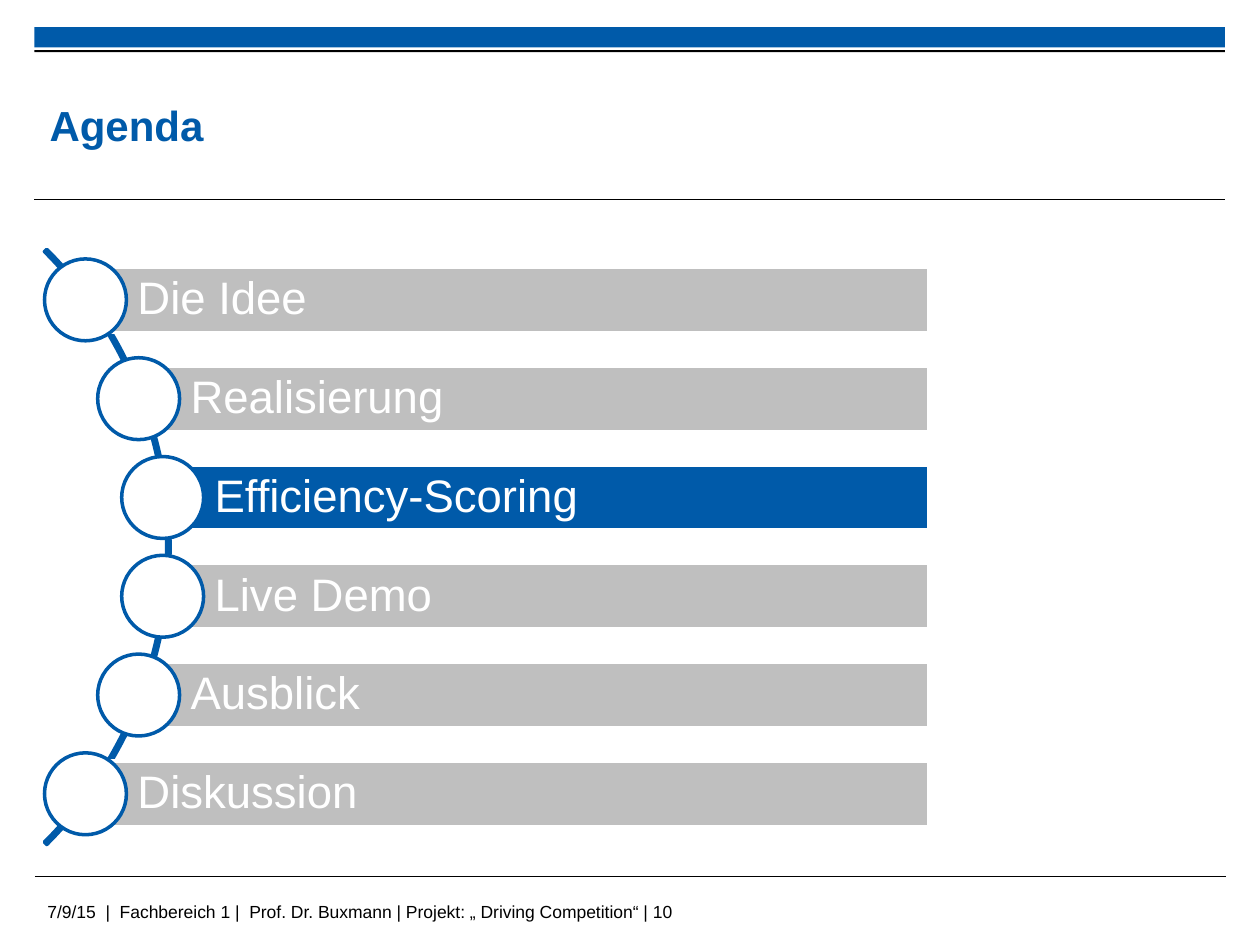
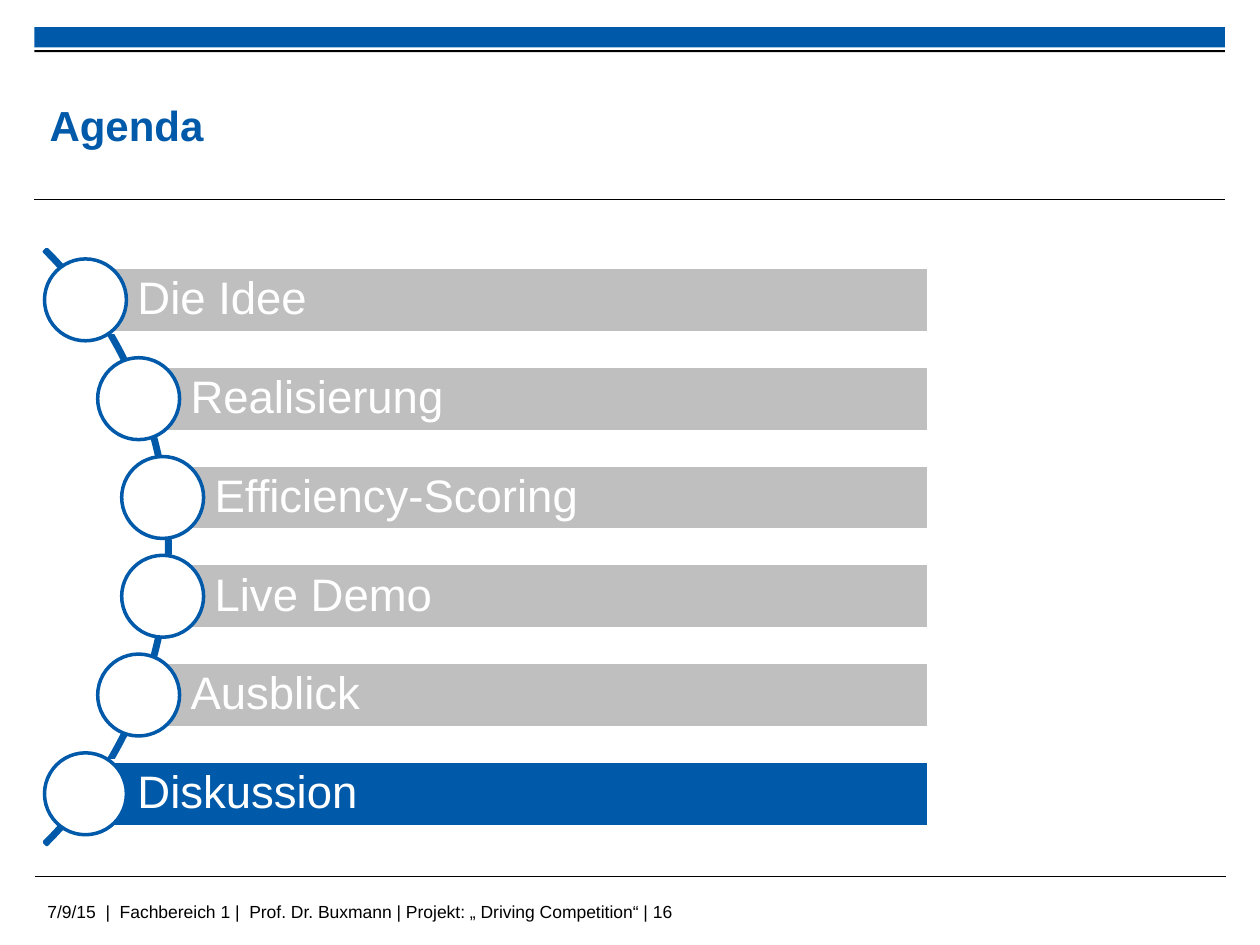
"""Build two agenda slides, each highlighting its current topic."""
from math import sqrt

from lxml import etree
from pptx import Presentation
from pptx.dml.color import RGBColor
from pptx.enum.shapes import MSO_CONNECTOR as Connector, MSO_SHAPE as Shape
from pptx.enum.text import MSO_ANCHOR as Anchor, PP_ALIGN as Align
from pptx.oxml.ns import qn
from pptx.util import Pt

COLORS = {"blue": "005AA9", "gray": "BFBFBF", "white": "FFFFFF", "black": "000000"}
FONT = "Arial"
TOPICS = ["Die Idee", "Realisierung", "Efficiency-Scoring", "Live Demo", "Ausblick", "Diskussion"]
FOOTER = "7/9/15  |  Fachbereich 1 |  Prof. Dr. Buxmann | Projekt: „ Driving Competition“ | {}"
AGENDAS = [(10, "Efficiency-Scoring"), (16, "Diskussion")]

PAGE_LEFT, PAGE_WIDTH = 19.6, 680.4
ARC_CENTER_X, ARC_CENTER_Y, ARC_RADIUS = -143.3, 312.5, 240.5
ARC_OFFSET = 2.6
TOPIC_PITCH = 56.45
BAR_RIGHT, BAR_HEIGHT = 530.6, 37.4
CIRCLE_SIZE = 46.8


def color(name):
    return RGBColor.from_string(COLORS[name])


def add_shape(slide, kind, left, top, width, height, fill, line=None):
    shape = slide.shapes.add_shape(kind, Pt(left), Pt(top), Pt(width), Pt(height))
    shape.shadow.inherit = False
    shape.fill.solid()
    shape.fill.fore_color.rgb = color(fill)
    if line:
        shape.line.color.rgb = color(line)
        shape.line.width = Pt(2)
    else:
        shape.line.fill.background()
    return shape


def add_rule(slide, left, y):
    rule = slide.shapes.add_connector(
        Connector.STRAIGHT, Pt(left), Pt(y), Pt(left + PAGE_WIDTH), Pt(y))
    rule.line.color.rgb = color("black")
    rule.line.width = Pt(0.6)
    etree.SubElement(rule._element.spPr, qn("a:effectLst"))


def write_text(shape, text, size, font_color, margins, anchor=Anchor.MIDDLE, bold=False):
    frame = shape.text_frame
    frame.word_wrap = True
    frame.vertical_anchor = anchor
    frame.margin_left, frame.margin_top, frame.margin_right, frame.margin_bottom = map(Pt, margins)
    frame.text = text
    paragraph = frame.paragraphs[0]
    paragraph.alignment = Align.LEFT
    paragraph.font.name = FONT
    paragraph.font.size = Pt(size)
    paragraph.font.bold = bold
    paragraph.font.color.rgb = color(font_color)
    return paragraph


def add_frame(slide, page_number):
    add_shape(slide, Shape.RECTANGLE, PAGE_LEFT, 15.6, PAGE_WIDTH, 11.5, "blue")
    add_rule(slide, PAGE_LEFT, 114.2)
    add_shape(slide, Shape.RECTANGLE, PAGE_LEFT, 28.7, PAGE_WIDTH, 1.2, "black")
    add_rule(slide, PAGE_LEFT + 0.4, 500.6)
    footer = slide.shapes.add_textbox(Pt(20), Pt(511.2), Pt(566.6), Pt(18))
    write_text(footer, FOOTER.format(page_number), 10, "black", (7.2, 3.6, 7.2, 3.6), Anchor.TOP)


def set_title(slide, text):
    title = slide.shapes.title
    title.left, title.top, title.width, title.height = Pt(28.3), Pt(38.2), Pt(522.7), Pt(66.2)
    write_text(title, text, 24, "blue", (0, 0, 0, 0), bold=True)


def add_arc(slide):
    arc = add_shape(slide, Shape.BLOCK_ARC, ARC_CENTER_X - ARC_RADIUS, ARC_CENTER_Y - ARC_RADIUS,
                    2 * ARC_RADIUS, 2 * ARC_RADIUS, "blue", "blue")
    for index, value in enumerate((189, 27, 0.004)):
        arc.adjustments[index] = value


def add_topic(slide, topic, distance, fill):
    center_x = ARC_CENTER_X + sqrt(ARC_RADIUS ** 2 - distance ** 2) - ARC_OFFSET
    center_y = ARC_CENTER_Y + distance
    bar = add_shape(slide, Shape.RECTANGLE, center_x, center_y - BAR_HEIGHT / 2,
                    BAR_RIGHT - center_x, BAR_HEIGHT, fill, "white")
    write_text(bar, topic, 26, "white", (29.7, 5, 5, 5)).line_spacing = 0.9
    add_shape(slide, Shape.OVAL, center_x - CIRCLE_SIZE / 2, center_y - CIRCLE_SIZE / 2,
              CIRCLE_SIZE, CIRCLE_SIZE, "white", "blue")


def add_agenda(presentation, page_number, current_topic):
    slide = presentation.slides.add_slide(presentation.slide_layouts[5])
    add_frame(slide, page_number)
    set_title(slide, "Agenda")
    add_arc(slide)
    for index, topic in enumerate(TOPICS):
        distance = (index - (len(TOPICS) - 1) / 2) * TOPIC_PITCH
        add_topic(slide, topic, distance, "blue" if topic == current_topic else "gray")


def main():
    presentation = Presentation()
    presentation.slide_width, presentation.slide_height = Pt(720), Pt(540)
    for page_number, current_topic in AGENDAS:
        add_agenda(presentation, page_number, current_topic)
    presentation.save("out.pptx")


if __name__ == "__main__":
    main()
